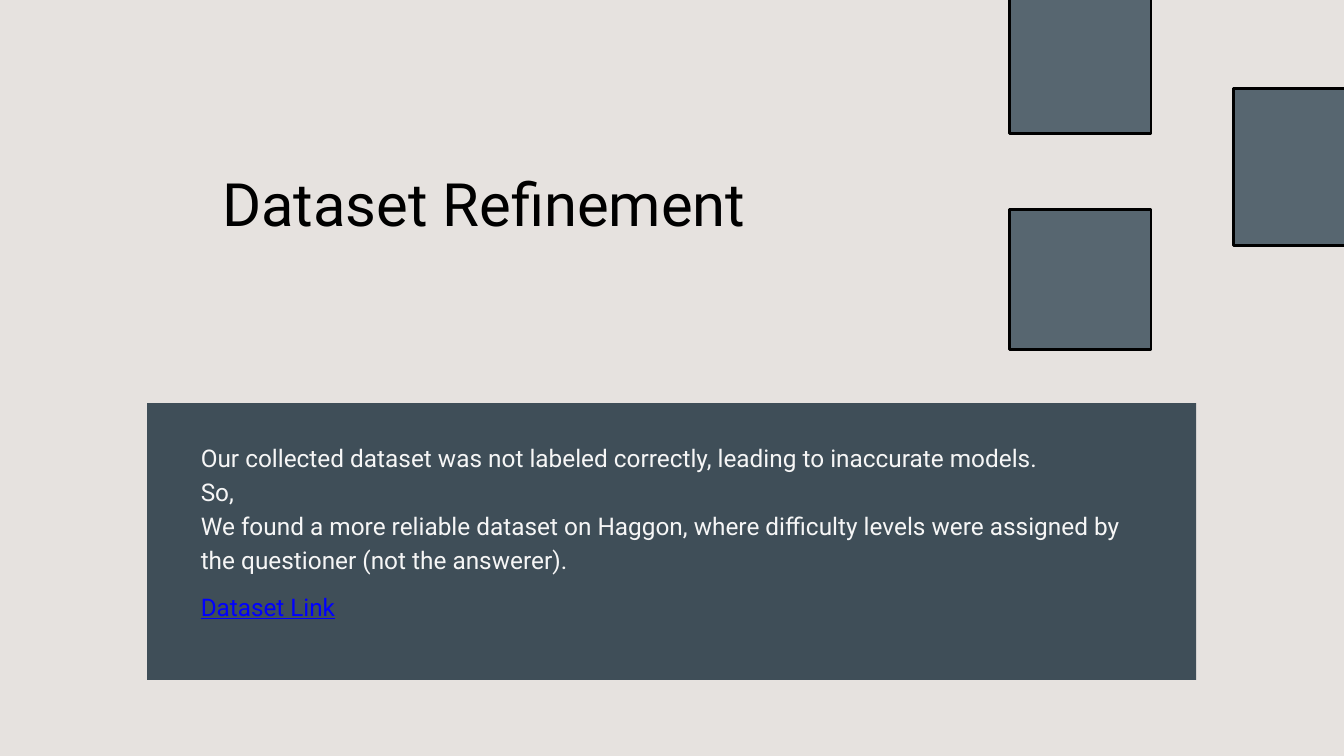
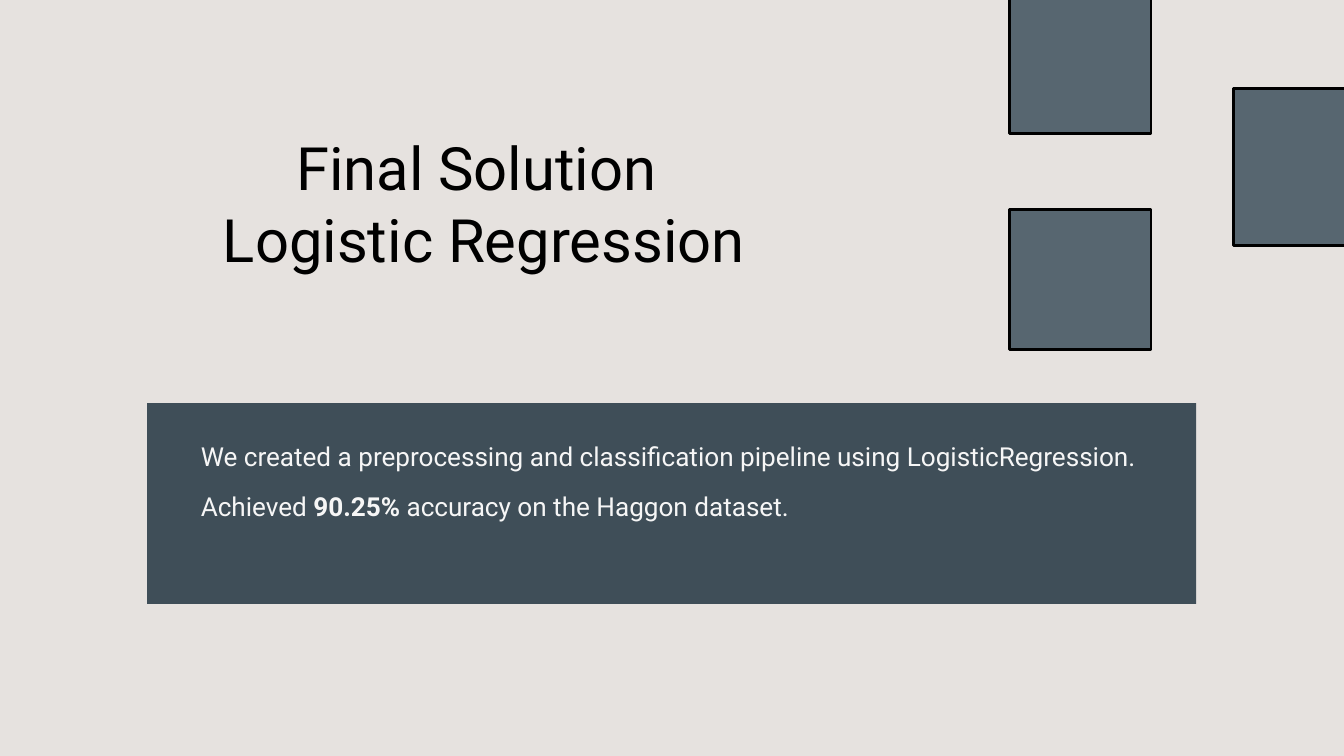
from pptx import Presentation
from pptx.dml.color import RGBColor
from pptx.enum.shapes import MSO_SHAPE
from pptx.enum.text import MSO_AUTO_SIZE, PP_ALIGN
from pptx.util import Cm, Pt

RECTANGLE = MSO_SHAPE.RECTANGLE
GROW = MSO_AUTO_SIZE.SHAPE_TO_FIT_TEXT
LEFT, CENTER = PP_ALIGN.LEFT, PP_ALIGN.CENTER

FONT = "Roboto"
COLORS = {
    "background": "E6E2DF",
    "square": "576670",
    "panel": "3F4E58",
    "title": "000000",
    "body": "F6F6F6",
    "link": "0000FF",
}

# Shared layout, in centimetres
PANEL_LEFT, PANEL_TOP, PANEL_WIDTH = 5.56, 15.24, 39.65
BODY_LEFT, BODY_WIDTH = 7.59, 35.61
TITLE_WIDTH, TITLE_MIDDLE = 25.45, 7.64
TITLE_SIZE, TITLE_LINE = 64, 76.8
SQUARE_WIDTH = 5.36
SQUARES = [(38.15, -0.89, 5.94), (46.63, 3.35, 5.94), (38.15, 7.92, 5.28)]


def color(name):
    return RGBColor.from_string(COLORS[name])


def add_rectangle(page, left, top, width, height, fill, outlined=False):
    shape = page.shapes.add_shape(RECTANGLE, Cm(left), Cm(top), Cm(width), Cm(height))
    shape.shadow.inherit = False
    shape.fill.solid()
    shape.fill.fore_color.rgb = color(fill)
    if outlined:
        shape.line.color.rgb = color("title")
        shape.line.width = Pt(3)
    else:
        shape.line.fill.background()


def add_text(page, left, top, width, height, paragraphs, size, line,
             ink="body", align=LEFT, gap=0, underline=False):
    """Each paragraph is a list of (text, bold) spans."""
    box = page.shapes.add_textbox(Cm(left), Cm(top), Cm(width), Cm(height))
    frame = box.text_frame
    frame.word_wrap = True
    frame.auto_size = GROW
    frame.margin_left = frame.margin_right = 0
    frame.margin_top = frame.margin_bottom = 0
    for index, spans in enumerate(paragraphs):
        para = frame.add_paragraph() if index else frame.paragraphs[0]
        para.alignment = align
        para.line_spacing = Pt(line)
        para.space_before = Pt(gap if index else 0)
        for text, bold in spans:
            span = para.add_run()
            span.text = text
            font = span.font
            font.name, font.size, font.bold = FONT, Pt(size), bold
            font.underline = underline
            font.color.rgb = color(ink)


def plain(*lines):
    return [[(line, False)] for line in lines]


def add_page(deck, title_lines, panel_height):
    page = deck.slides.add_slide(deck.slide_layouts[6])
    page.background.fill.solid()
    page.background.fill.fore_color.rgb = color("background")

    # Title, centred on a fixed height whatever its number of lines
    height = 2.69 * len(title_lines)
    add_text(page, PANEL_LEFT, TITLE_MIDDLE - height / 2, TITLE_WIDTH, height,
             plain(*title_lines), TITLE_SIZE, TITLE_LINE, "title", CENTER)

    # Corner squares and text panel
    for left, top, square_height in SQUARES:
        add_rectangle(page, left, top, SQUARE_WIDTH, square_height, "square", True)
    add_rectangle(page, PANEL_LEFT, PANEL_TOP, PANEL_WIDTH, panel_height, "panel")
    return page


def add_refinement_page(deck):
    page = add_page(deck, ["Dataset Refinement"], 10.46)
    reasons = plain(
        "Our collected dataset was not labeled correctly, leading to inaccurate models.",
        "So,",
        "We found a more reliable dataset on Haggon, where difficulty levels "
        "were assigned by the questioner (not the answerer).",
    )
    add_text(page, BODY_LEFT, 16.56, BODY_WIDTH, 4.98, reasons, 26.1, 36.6)
    add_text(page, BODY_LEFT, 22.2, 28.75, 1.17, plain("Dataset Link"), 26, 36.4,
             "link", underline=True)


def add_solution_page(deck):
    page = add_page(deck, ["Final Solution ", "Logistic Regression"], 7.59)
    results = plain("We created a preprocessing and classification pipeline "
                    "using LogisticRegression.")
    results.append([("Achieved ", False), ("90.25%", True),
                    (" accuracy on the Haggon dataset.", False)])
    add_text(page, BODY_LEFT, 16.46, BODY_WIDTH, 4.6, results, 28, 39.2, gap=14)


def main():
    deck = Presentation()
    deck.slide_width, deck.slide_height = Cm(50.8), Cm(28.58)
    add_refinement_page(deck)
    add_solution_page(deck)
    deck.save("out.pptx")


if __name__ == "__main__":
    main()
